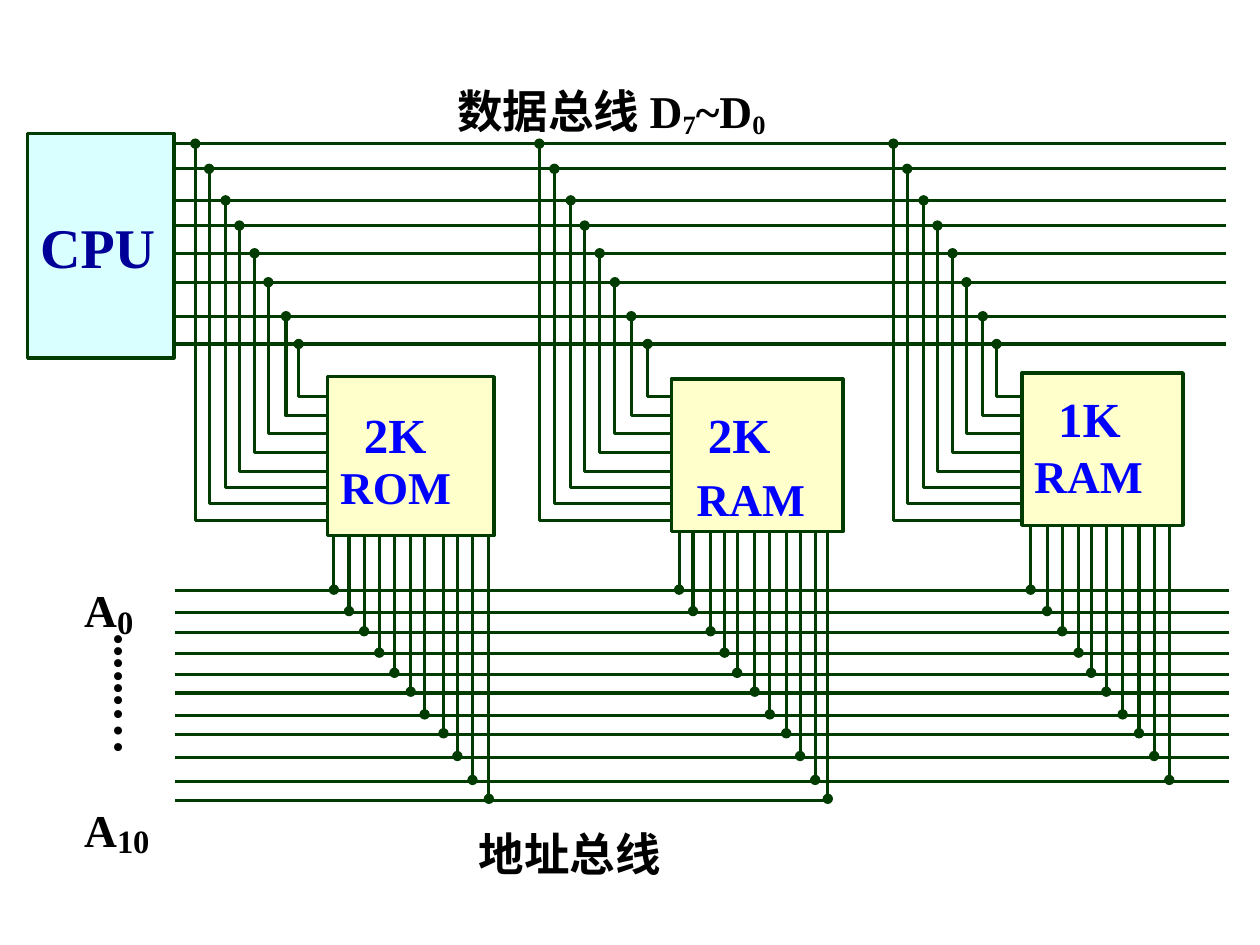
from pptx import Presentation
from pptx.dml.color import RGBColor
from pptx.enum.shapes import MSO_CONNECTOR, MSO_SHAPE
from pptx.enum.text import MSO_ANCHOR, PP_ALIGN
from pptx.oxml.ns import qn
from pptx.util import Inches, Pt
from lxml import etree

STRAIGHT = MSO_CONNECTOR.STRAIGHT
RECT = MSO_SHAPE.RECTANGLE
TOP, MIDDLE = MSO_ANCHOR.TOP, MSO_ANCHOR.MIDDLE
LEFT = PP_ALIGN.LEFT

COLS, ROWS = 1000, 750
CELL = Inches(10) // COLS
GREEN, BLUE, NAVY, BLACK = "003C00", "0000FF", "000099", "000000"
CREAM, AQUA = "FFFFCC", "D9FFFF"
FONT = "Times New Roman"

DATA_ROWS = [114, 134, 159, 179, 201, 224, 251, 273]
PIN_ROWS = [413, 400, 387, 374, 359, 344, 330, 315]
ADDRESS_ROWS = [469, 486, 502, 519, 535, 550, 568, 583, 601, 620, 635]

CHIPS = [
    {"box": (260, 299, 132, 126),
     "lines": [("2K", 28, {"line_spacing": 1.3}, 19),
               ("ROM", 26, {"line_spacing": 0.95}, 0)],
     "data": [155, 166, 179, 190, 202, 213, 227, 237],
     "address": [265, 277, 289, 301, 313, 326, 337, 352, 363, 375, 388]},
    {"box": (533, 301, 136, 121),
     "lines": [("2K", 28, {"line_spacing": 1.25}, 19),
               ("RAM", 26, {"space_before": Pt(4.5)}, 10)],
     "data": [428, 440, 453, 464, 476, 488, 501, 514],
     "address": [539, 550, 564, 575, 585, 599, 611, 624, 635, 647, 657]},
    {"box": (811, 296, 128, 121),
     "lines": [("1K", 28, {"line_spacing": 1.1}, 19),
               ("RAM", 26, {}, 0)],
     "data": [709, 720, 733, 744, 756, 767, 780, 791],
     "address": [818, 831, 843, 856, 866, 878, 891, 904, 916, 928]},
]


def grid(*cells):
    return [int(c * CELL) for c in cells]


def color(value):
    return RGBColor.from_string(value)


def apply(obj, values):
    for name, value in values.items():
        setattr(obj, name, value)


def style_line(sp, width, end=None):
    sp.line.color.rgb = color(GREEN)
    sp.line.width = Pt(width)
    if end:
        ln = sp.line._get_or_add_ln()
        etree.SubElement(ln, qn(f"a:{end}"), type="oval")


def add_wire(s, x1, y1, x2, y2, end=None):
    sp = s.shapes.add_connector(STRAIGHT, *grid(x1, y1, x2, y2))
    style_line(sp, 1.75, end)
    etree.SubElement(sp._element.spPr, qn("a:effectLst"))


def add_elbow(s, x, y, pin_x, pin_y):
    fb = s.shapes.build_freeform(*grid(x, y))
    fb.add_line_segments([grid(x, pin_y), grid(pin_x, pin_y)], close=False)
    sp = fb.convert_to_shape()
    sp.shadow.inherit = False
    sp.fill.background()
    style_line(sp, 1.75, "headEnd")


def add_run(p, text, size, fill, baseline=0):
    r = p.add_run()
    r.text = text
    apply(r.font, {"size": Pt(size), "name": FONT, "bold": True})
    r.font.color.rgb = color(fill)
    if baseline:
        r.font._element.set("baseline", str(baseline * 1000))


def add_block(s, box, fill, lines, text_color, anchor, inset):
    sp = s.shapes.add_shape(RECT, *grid(*box))
    sp.shadow.inherit = False
    sp.fill.solid()
    sp.fill.fore_color.rgb = color(fill)
    style_line(sp, 2)
    tf = sp.text_frame
    apply(tf, {"vertical_anchor": anchor, "word_wrap": True,
               "margin_top": grid(inset)[0]})
    for i, (text, size, spacing, indent) in enumerate(lines):
        p = tf.add_paragraph() if i else tf.paragraphs[0]
        apply(p, {"alignment": LEFT, **spacing})
        p._p.get_or_add_pPr().set("marL", str(grid(indent)[0]))
        add_run(p, text, size, text_color)


def add_label(s, box, runs, vertical=False):
    tf = s.shapes.add_textbox(*grid(*box)).text_frame
    tf.word_wrap = True
    if vertical:
        tf._txBody.bodyPr.set("vert", "eaVert")
    for text, size, baseline in runs:
        add_run(tf.paragraphs[0], text, size, BLACK, baseline)


def add_buses(s):
    for y in DATA_ROWS:
        add_wire(s, 137, y, 973, y)
    for y in ADDRESS_ROWS:
        right = 657 if y == ADDRESS_ROWS[-1] else 975
        add_wire(s, 139, y, right, y)


def add_chip(s, chip):
    left, top, _, height = chip["box"]
    add_block(s, chip["box"], CREAM, chip["lines"], BLUE, TOP, 8)
    for x, y, pin_y in zip(chip["data"], DATA_ROWS, PIN_ROWS):
        add_elbow(s, x, y, left, pin_y)
    for x, y in zip(chip["address"], ADDRESS_ROWS):
        add_wire(s, x, top + height, x, y - 1, "tailEnd")


def main():
    prs = Presentation()
    prs.slide_width, prs.slide_height = grid(COLS, ROWS)
    s = prs.slides.add_slide(prs.slide_layouts[6])
    add_block(s, (22, 106, 116, 178), AQUA, [("CPU", 32, {}, 0)],
              NAVY, MIDDLE, 5)
    add_buses(s)
    for chip in CHIPS:
        add_chip(s, chip)
    add_label(s, (353, 61, 294, 53),
              [("数据总线 D", 26, 0), ("7", 26, -14),
               ("~D", 26, 0), ("0", 26, -14)])
    add_label(s, (370, 651, 294, 53), [("地址总线", 26, 0)])
    add_label(s, (57, 449, 107, 53), [("A", 26, 0), ("0", 32, -12)])
    add_label(s, (57, 623, 107, 53), [("A", 26, 0), ("10", 32, -12)])
    add_label(s, (68, 493, 67, 117), [("......…", 28, 0)], vertical=True)
    prs.save("out.pptx")


if __name__ == "__main__":
    main()
